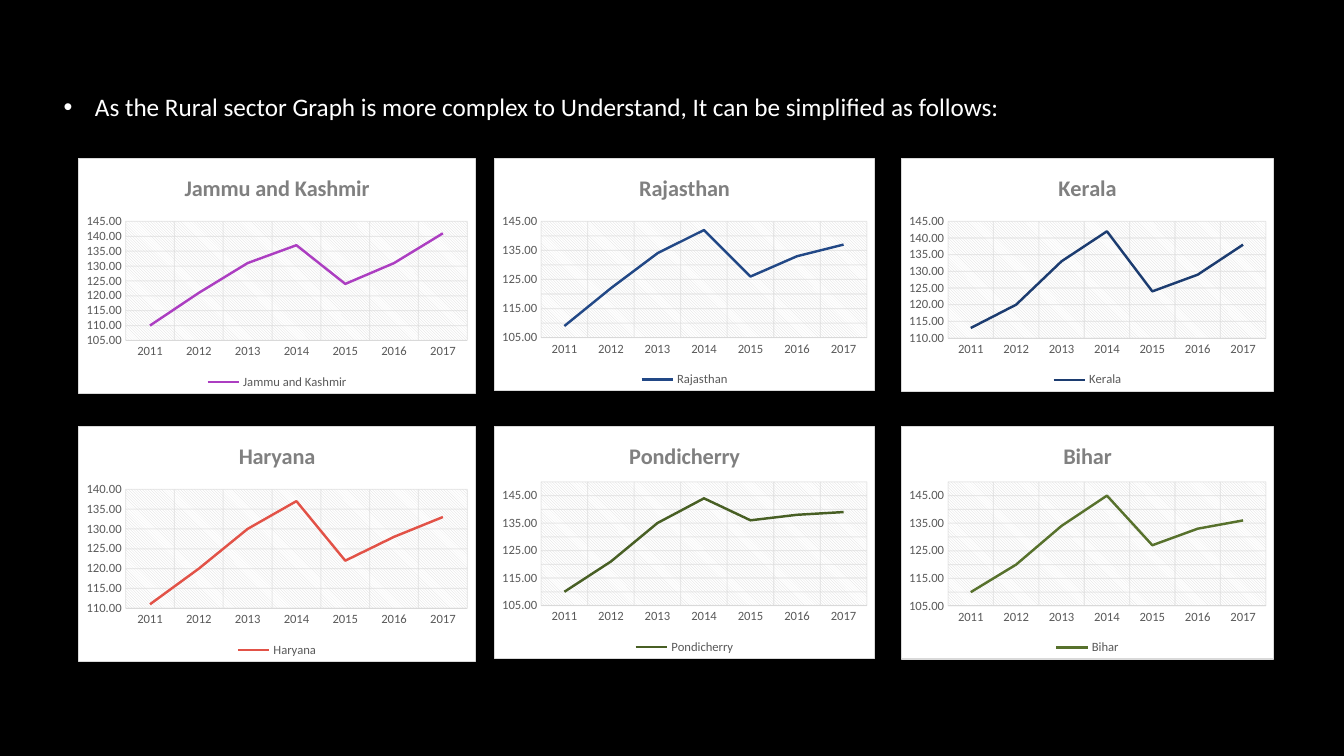
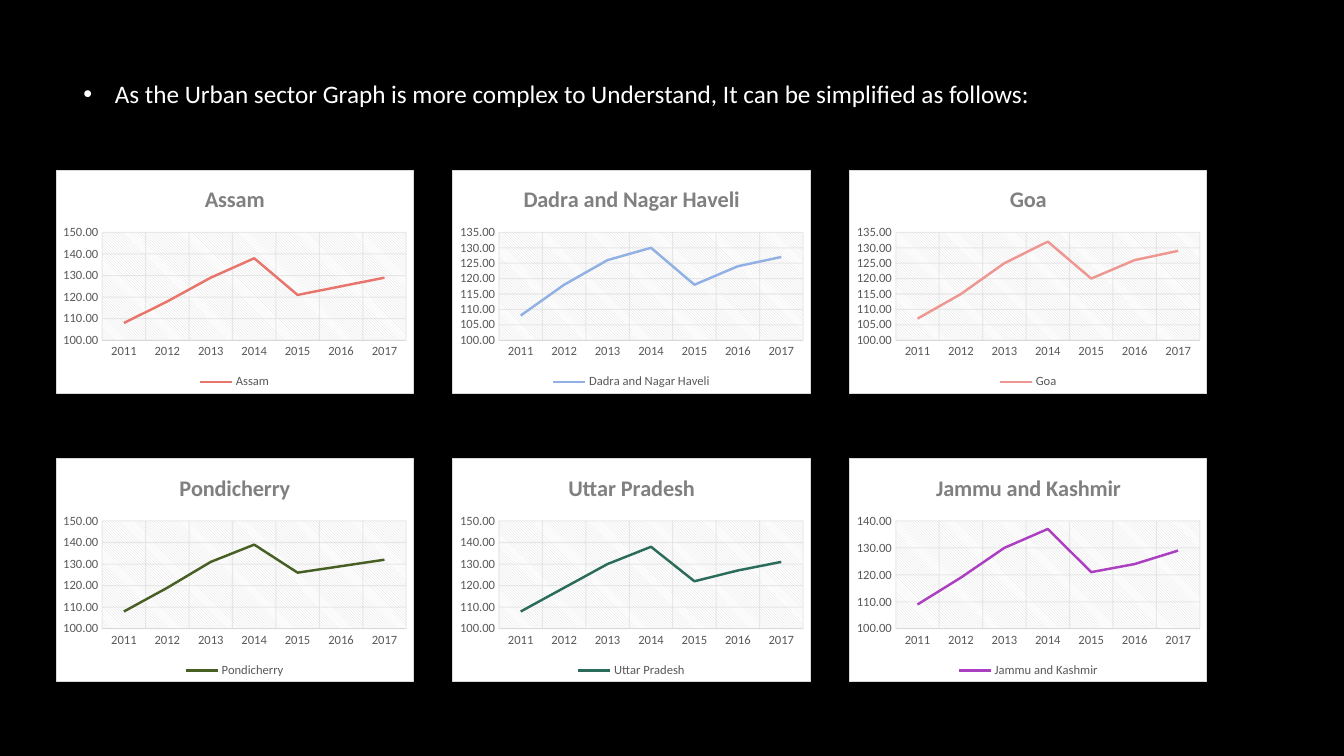
"""Build two slides that split the rural and urban index graphs by state."""
from lxml.etree import SubElement
from pptx import Presentation
from pptx.chart.data import CategoryChartData
from pptx.dml.color import RGBColor
from pptx.enum.chart import XL_CHART_TYPE as ChartType
from pptx.enum.chart import XL_LEGEND_POSITION as LegendPosition
from pptx.enum.chart import XL_TICK_MARK as TickMark
from pptx.enum.text import MSO_ANCHOR as Anchor
from pptx.enum.text import MSO_AUTO_SIZE as AutoSize
from pptx.oxml import parse_xml
from pptx.oxml.ns import nsdecls, qn
from pptx.util import Cm, Pt

FONT = "Calibri"
COLORS = {
    "background": "000000", "text": "FFFFFF", "panel": "FFFFFF",
    "grid": "D9D9D9", "title": "808080", "label": "595959",
}
STATE_COLORS = {
    "Jammu and Kashmir": "AC3EC1", "Rajasthan": "224886", "Kerala": "1C3C70",
    "Haryana": "E25247", "Pondicherry": "485F24", "Bihar": "57712C",
    "Assam": "E8756C", "Dadra and Nagar Haveli": "91B0E3", "Goa": "EE9791",
    "Uttar Pradesh": "2A6B5B",
}
YEARS = [str(year) for year in range(2011, 2018)]

PAGES = [
    {
        "text": "As the Rural sector Graph is more complex to Understand, "
                "It can be simplified as follows:",
        "text_area": (1.35, 2.18, 28.14, 2.08),
        "columns": [(1.97, 10.02, 5.94), (12.45, 9.6, 5.87), (22.71, 9.39, 5.88)],
        "rows": [3.99, 10.74],
        "charts": [
            ("Jammu and Kashmir", (105, 145, 5), [110, 121, 131, 137, 124, 131, 141]),
            ("Rajasthan", (105, 145, 5), [109, 122, 134, 142, 126, 133, 137]),
            ("Kerala", (110, 145, 5), [113, 120, 133, 142, 124, 129, 138]),
            ("Haryana", (110, 140, 5), [111, 120, 130, 137, 122, 128, 133]),
            ("Pondicherry", (105, 150, 5), [110, 121, 135, 144, 136, 138, 139]),
            ("Bihar", (105, 150, 5), [110, 120, 134, 145, 127, 133, 136]),
        ],
    },
    {
        "text": "As the Urban sector Graph is more complex to Understand, "
                "It can be simplified as follows:",
        "text_area": (1.85, 1.85, 28.14, 1.9),
        "columns": [(1.4 + 10 * column, 9.03, 5.64) for column in range(3)],
        "rows": [4.28, 11.55],
        "charts": [
            ("Assam", (100, 150, 10), [108, 118, 129, 138, 121, 125, 129]),
            ("Dadra and Nagar Haveli", (100, 135, 5),
             [108, 118, 126, 130, 118, 124, 127]),
            ("Goa", (100, 135, 5), [107, 115, 125, 132, 120, 126, 129]),
            ("Pondicherry", (100, 150, 10), [108, 119, 131, 139, 126, 129, 132]),
            ("Uttar Pradesh", (100, 150, 10), [108, 119, 130, 138, 122, 127, 131]),
            ("Jammu and Kashmir", (100, 140, 10), [109, 119, 130, 137, 121, 124, 129]),
        ],
    },
]


def set_font(font, size, color, bold=False):
    font.name = FONT
    font.size = Pt(size)
    font.bold = bold
    font.color.rgb = RGBColor.from_string(color)


def set_line(line, color, width):
    line.color.rgb = RGBColor.from_string(color)
    line.width = Pt(width)


def fill_color(tag, color):
    return f'<a:{tag}><a:srgbClr val="{color}"/></a:{tag}>'


def area_format(content):
    return parse_xml(f'<c:spPr {nsdecls("c", "a")}>{content}</c:spPr>')


def add_statement(page, text, area):
    page.shapes.title.element.getparent().remove(page.shapes.title.element)
    box = page.placeholders[1]
    box.left, box.top, box.width, box.height = map(Cm, area)
    frame = box.text_frame
    frame.auto_size = AutoSize.NONE
    frame.vertical_anchor = Anchor.TOP
    frame.text = text
    para = frame.paragraphs[0]
    para.space_before, para.space_after = Pt(0), Pt(10)
    properties = para._p.get_or_add_pPr()
    properties.set("marL", str(Cm(0.79)))
    properties.set("indent", str(-Cm(0.79)))
    bullet_color = SubElement(properties, qn("a:buClr"))
    SubElement(bullet_color, qn("a:srgbClr"), val=COLORS["text"])
    SubElement(properties, qn("a:buFont"), typeface="Arial")
    SubElement(properties, qn("a:buChar"), char="•")
    set_font(para.font, 18, COLORS["text"])


def format_axis(axis):
    axis.major_tick_mark = axis.minor_tick_mark = TickMark.NONE
    set_font(axis.tick_labels.font, 9, COLORS["label"])
    axis.has_major_gridlines = True
    set_line(axis.major_gridlines.format.line, COLORS["grid"], 0.75)
    for color in axis._element.xpath("c:majorGridlines//a:srgbClr"):
        SubElement(color, qn("a:alpha"), val="54000")


def format_panel(chart):
    grid, panel = COLORS["grid"], COLORS["panel"]
    border = f'<a:ln w="{Pt(0.75)}">{fill_color("solidFill", grid)}</a:ln>'
    space = chart._chartSpace
    space.find(qn("c:txPr")).addprevious(
        area_format(fill_color("solidFill", panel) + border))
    hatch = fill_color("fgClr", grid) + fill_color("bgClr", panel)
    space.xpath("c:chart/c:plotArea")[0].append(
        area_format(f'<a:pattFill prst="ltDnDiag">{hatch}</a:pattFill>'))


def add_state_chart(page, state, scale, values, area):
    data = CategoryChartData()
    data.categories = YEARS
    data.add_series(state, values)
    chart = page.shapes.add_chart(ChartType.LINE, *map(Cm, area), data).chart
    set_font(chart.font, 10, COLORS["text"])
    format_panel(chart)

    chart.has_title = True
    chart.chart_title.include_in_layout = False
    frame = chart.chart_title.text_frame
    frame.text = state
    set_font(frame.paragraphs[0].font, 16, COLORS["title"], bold=True)

    chart.has_legend = True
    chart.legend.position = LegendPosition.BOTTOM
    chart.legend.include_in_layout = False
    set_font(chart.legend.font, 9, COLORS["label"])

    years, index = chart.category_axis, chart.value_axis
    format_axis(years)
    format_axis(index)
    set_line(years.format.line, COLORS["grid"], 0.75)
    index.format.line.fill.background()
    index.minimum_scale, index.maximum_scale, index.major_unit = scale
    index.tick_labels.number_format = "0.00"
    index.tick_labels.number_format_is_linked = False

    chart.plots[0].vary_by_categories = False
    series = chart.plots[0].series[0]
    series.smooth = False
    set_line(series.format.line, STATE_COLORS[state], 1.75)


def main():
    deck = Presentation()
    deck.slide_width, deck.slide_height = Cm(33.87), Cm(19.05)
    background = deck.slide_master.background.fill
    background.solid()
    background.fore_color.rgb = RGBColor.from_string(COLORS["background"])
    layout = deck.slide_layouts.get_by_name("Title and Content")
    for content in PAGES:
        page = deck.slides.add_slide(layout)
        add_statement(page, content["text"], content["text_area"])
        for position, (state, scale, values) in enumerate(content["charts"]):
            row, column = divmod(position, len(content["columns"]))
            left, width, height = content["columns"][column]
            area = (left, content["rows"][row], width, height)
            add_state_chart(page, state, scale, values, area)
    deck.save("out.pptx")


if __name__ == "__main__":
    main()
